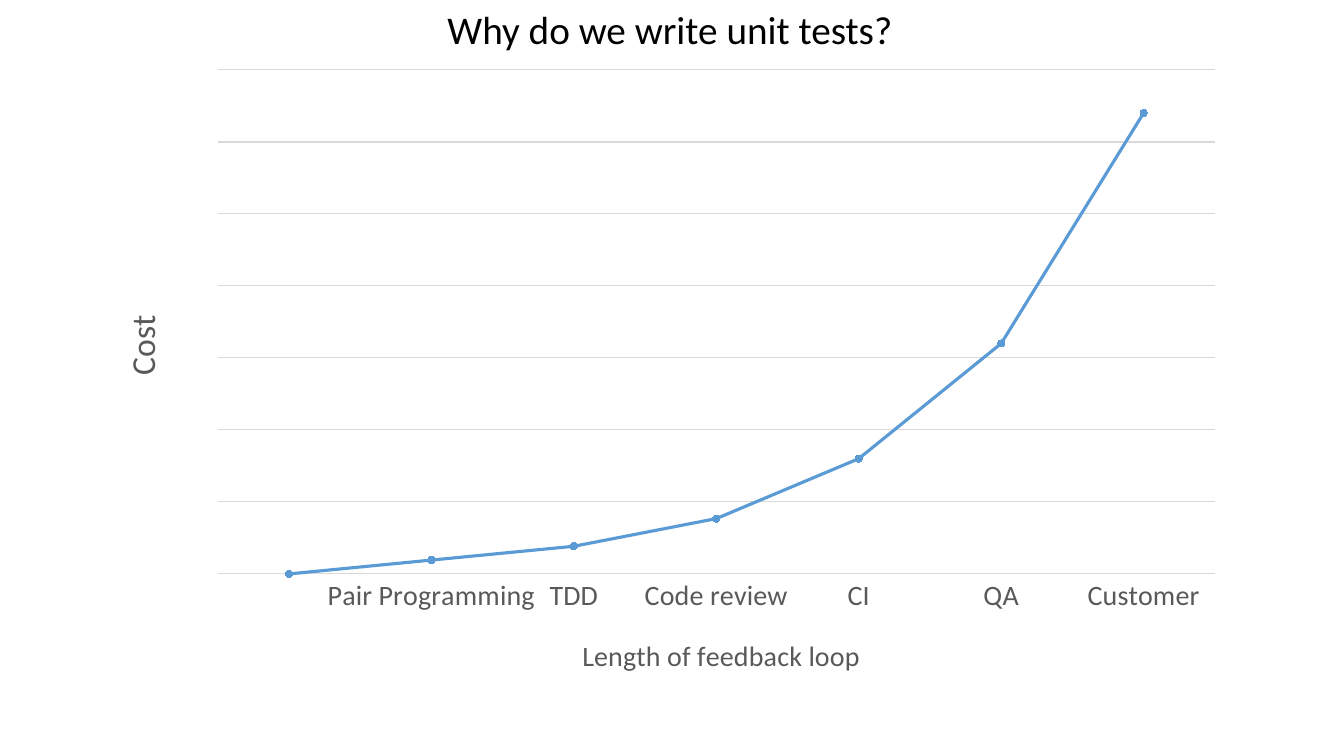
from lxml import etree
from pptx import Presentation
from pptx import util as u
from pptx.chart.data import CategoryChartData
from pptx.dml.color import RGBColor
from pptx.enum import chart as ch, text
from pptx.oxml import parse_xml
from pptx.oxml.ns import nsdecls, qn

PX = 9144
FONT = "Calibri"
COLORS = {"title": "000000", "label": "595959", "grid": "D9D9D9", "cost": "5B9BD5"}
COSTS = {
    "": 0,
    "Pair Programming": 3,
    "TDD": 6,
    "Code review": 12,
    "CI": 25,
    "QA": 50,
    "Customer": 100,
}
GRID_STEP = 15.62
GRID_COUNT = 7


def px(n):
    return u.Emu(n * PX)


def style_font(font, size, color):
    font.size = u.Pt(size)
    font.name = FONT
    font.bold = False
    font.color.rgb = RGBColor.from_string(COLORS[color])


def style_line(line, width, color):
    line.width = u.Pt(width)
    line.color.rgb = RGBColor.from_string(COLORS[color])


def make_layout(inner=False, **fractions):
    layout = parse_xml(f"<c:layout {nsdecls('c')}><c:manualLayout/></c:layout>")
    manual = layout[0]
    if inner:
        etree.SubElement(manual, qn("c:layoutTarget")).set("val", "inner")
    for name in ("xMode", "yMode"):
        etree.SubElement(manual, qn(f"c:{name}")).set("val", "edge")
    for name, value in fractions.items():
        etree.SubElement(manual, qn(f"c:{name}")).set("val", str(value))
    return layout


def replace_layout(parent, layout, index):
    for old in parent.findall(qn("c:layout")):
        parent.remove(old)
    parent.insert(index, layout)


def add_axis_title(axis, words, size, x, y):
    title = axis.axis_title
    r = title.text_frame.paragraphs[0].add_run()
    r.text = words
    style_font(r.font, size, "label")
    replace_layout(title._element, make_layout(x=x, y=y), 1)
    return title


def style_category_axis(axis):
    axis.major_tick_mark = axis.minor_tick_mark = ch.XL_TICK_MARK.NONE
    style_font(axis.tick_labels.font, 20, "label")
    axis._element.find(qn("c:txPr")).find(qn("a:bodyPr")).set("rot", "-60000000")
    style_line(axis.format.line, 0.75, "grid")
    add_axis_title(axis, "Length of feedback loop", 20, 0.43, 0.91)


def style_value_axis(axis):
    axis.minimum_scale = 0
    axis.maximum_scale = GRID_STEP * GRID_COUNT
    axis.major_unit = GRID_STEP
    axis.has_major_gridlines = True
    style_line(axis.major_gridlines.format.line, 0.75, "grid")
    title = add_axis_title(axis, "Cost", 24, 0.03, 0.4)
    body = title.text_frame._txBody.find(qn("a:bodyPr"))
    body.set("rot", "-5400000")
    body.set("vert", "horz")
    axis.visible = False


def style_series(series):
    series.smooth = False
    style_line(series.format.line, 2.25, "cost")
    marker = series.marker
    marker.style = ch.XL_MARKER_STYLE.CIRCLE
    marker.size = 5
    marker.format.fill.solid()
    marker.format.fill.fore_color.rgb = RGBColor.from_string(COLORS["cost"])
    style_line(marker.format.line, 0.75, "cost")


def add_cost_chart(s, left, top, width, height):
    data = CategoryChartData()
    data.categories = list(COSTS)
    data.add_series("Series 1", list(COSTS.values()))
    frame = s.shapes.add_chart(
        ch.XL_CHART_TYPE.LINE_MARKERS, px(left), px(top), px(width), px(height), data
    )
    chart = frame.chart
    chart.has_title = chart.has_legend = False
    style_font(chart.font, 10, "title")
    chart.plots[0].vary_by_categories = False
    style_category_axis(chart.category_axis)
    style_value_axis(chart.value_axis)
    style_series(chart.plots[0].series[0])
    plot_area = chart._chartSpace.chart.plotArea
    replace_layout(plot_area, make_layout(True, x=0.12, y=0.02, w=0.86, h=0.8), 0)


def add_heading(s, words, left, top, width, height):
    sp = s.shapes.add_textbox(px(left), px(top), px(width), px(height))
    tf = sp.text_frame
    tf.word_wrap = False
    tf.auto_size = text.MSO_AUTO_SIZE.SHAPE_TO_FIT_TEXT
    r = tf.paragraphs[0].add_run()
    r.text = words
    style_font(r.font, 28, "title")


def main():
    prs = Presentation()
    prs.slide_width, prs.slide_height = u.Inches(13.33), u.Inches(7.5)
    s = prs.slides.add_slide(prs.slide_layouts[6])
    add_cost_chart(s, 78, 57, 1150, 625)
    add_heading(s, "Why do we write unit tests?", 434, 0, 466, 57)
    prs.save("out.pptx")


if __name__ == "__main__":
    main()
